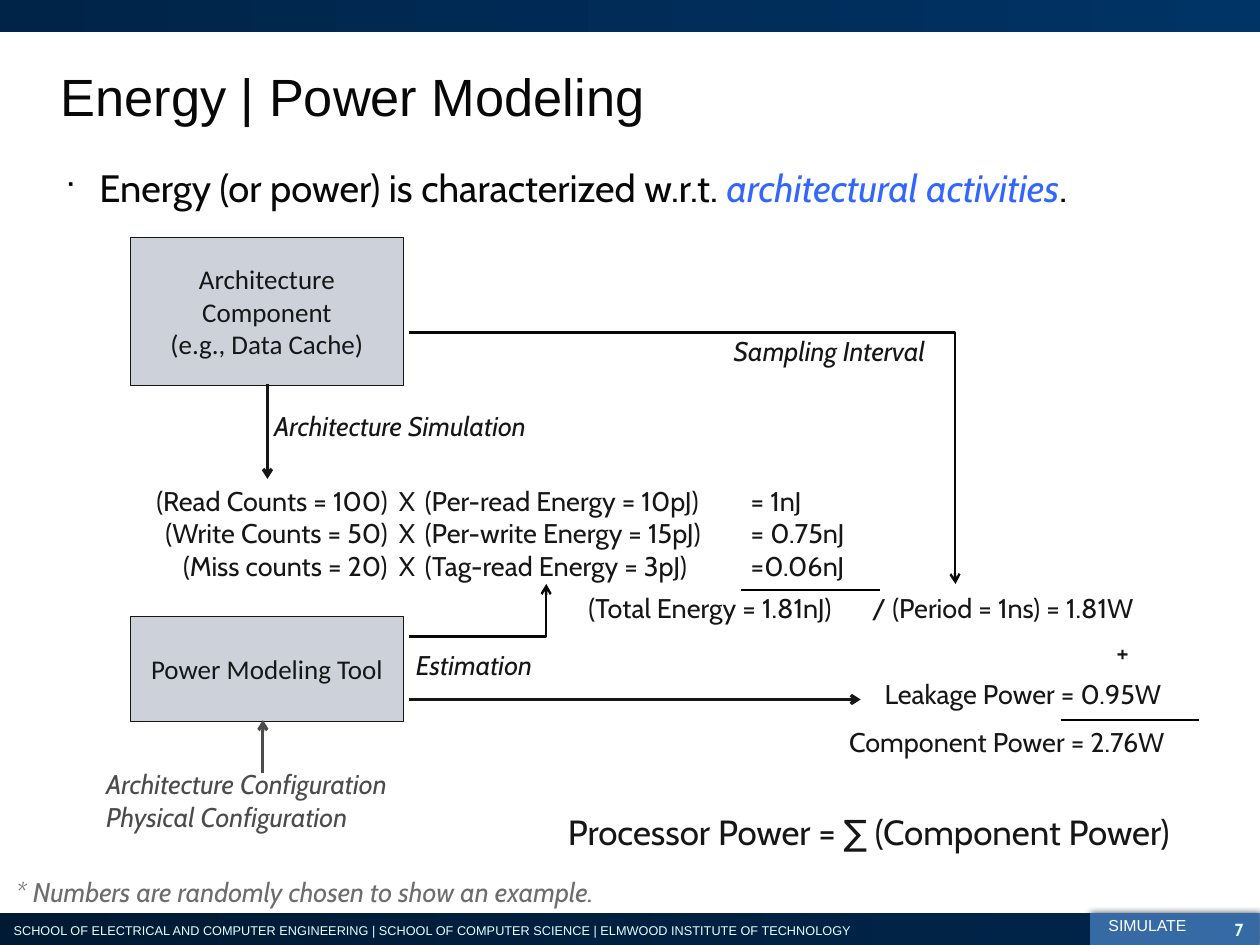
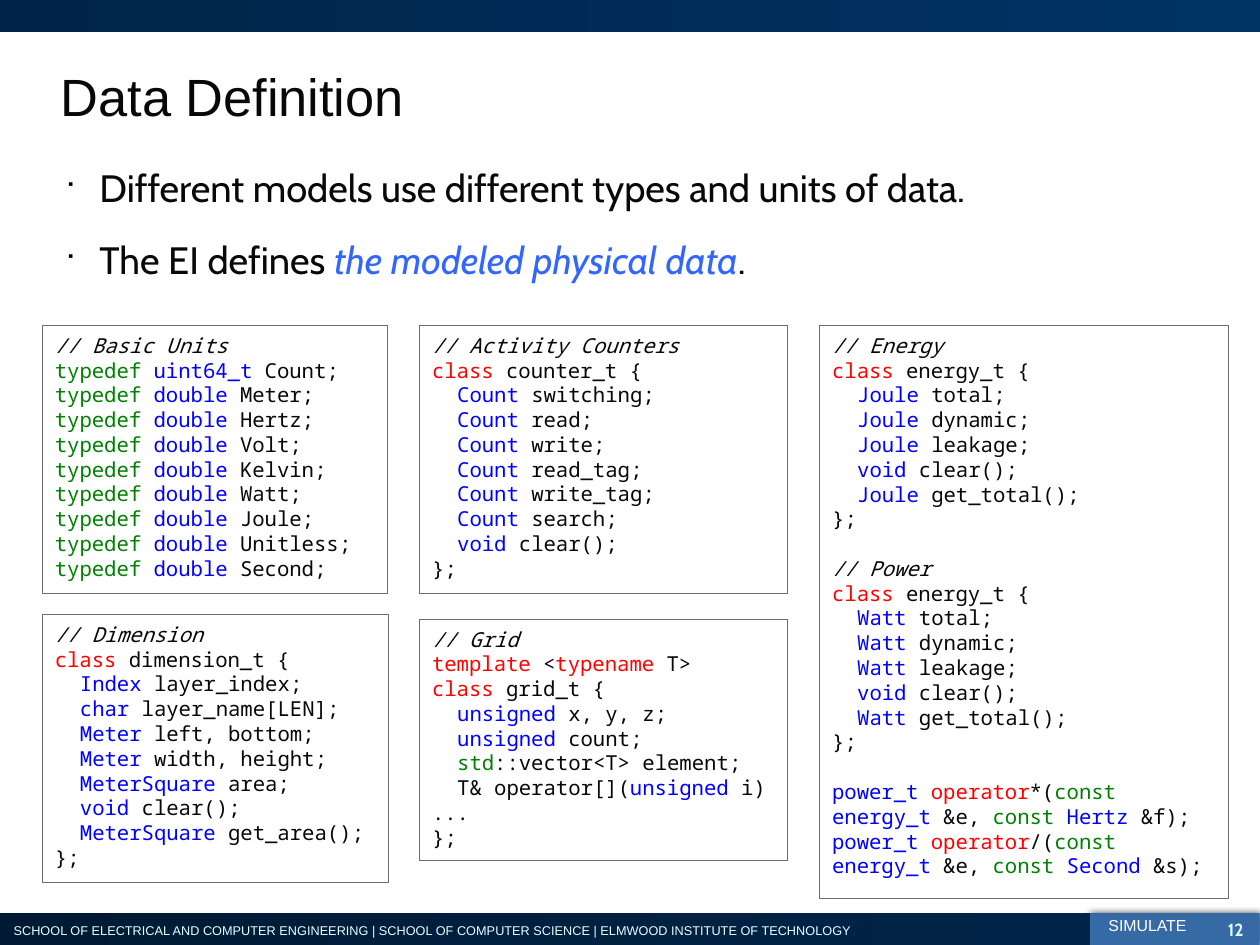
from lxml.etree import SubElement
from pptx import Presentation
from pptx.dml.color import RGBColor
from pptx.enum.shapes import MSO_CONNECTOR as Link, MSO_SHAPE as Preset
from pptx.enum.text import MSO_ANCHOR as Anchor, PP_ALIGN as Align
from pptx.oxml.ns import qn
from pptx.util import Inches, Pt

BLACK = RGBColor(0x00, 0x00, 0x00)
TEXT = RGBColor(0x08, 0x08, 0x08)
INK = RGBColor(0x16, 0x16, 0x16)
DARK_GRAY = RGBColor(0x4C, 0x4C, 0x4C)
GRAY = RGBColor(0x6D, 0x6D, 0x6D)
BOX_GRAY = RGBColor(0xCD, 0xD1, 0xDA)
WHITE = RGBColor(0xFF, 0xFF, 0xFF)
PALE = RGBColor(0xE5, 0xFF, 0xFF)
NAVY_DEEP = RGBColor(0x00, 0x1A, 0x34)
NAVY = RGBColor(0x00, 0x24, 0x48)
NAVY_LIGHT = RGBColor(0x00, 0x33, 0x66)
BADGE_BLUE = RGBColor(0x36, 0x6A, 0xA4)
ACCENT = RGBColor(0x33, 0x66, 0xFF)
RED = RGBColor(0xFF, 0x00, 0x00)
BLUE = RGBColor(0x00, 0x00, 0xFF)
GREEN = RGBColor(0x00, 0x80, 0x00)

WIDTH, HEIGHT = 28 / 2.54, 21 / 2.54  # 28 by 21 cm, in inches
BAND = 0.28
WIDE_INSET = (0.11, 0.06)
CODE_SIZE = 13

# First character of a span: its colour (None keeps the box colour) and slant.
SPAN_MARKS = {
    "#": (RED, False),
    "$": (BLUE, False),
    "%": (GREEN, False),
    "~": (None, True),
    "!": (ACCENT, True),
}


def add_box(page, place, text="", size=17, font="Cabin", colour=INK, fill=None,
            line=None, align=Align.LEFT, anchor=Anchor.TOP, inset=(0.1, 0.05),
            bold=False, spacing=None):
    """Add text, framed if fill or line is given.

    Lines may start with • (bullet), > (code indent) or ^ (gap above);
    backticks split a line into spans, which may start with a span mark.
    """
    place = [Inches(value) for value in place]
    if fill or line:
        box = page.shapes.add_shape(Preset.RECTANGLE, *place)
        box.shadow.inherit = False
        if not fill:
            box.fill.background()
        elif isinstance(fill, list):
            box.fill.gradient()
            box.fill.gradient_angle = 0
            for stop, shade in zip(box.fill.gradient_stops, fill):
                stop.color.rgb = shade
        else:
            box.fill.solid()
            box.fill.fore_color.rgb = fill
        if line:
            box.line.color.rgb = line
            box.line.width = Pt(0.75)
        else:
            box.line.fill.background()
    else:
        box = page.shapes.add_textbox(*place)

    across, down = (Inches(value) for value in inset)
    frame = box.text_frame
    frame_format = dict(word_wrap=True, vertical_anchor=anchor, margin_left=across,
                        margin_right=across, margin_top=down, margin_bottom=down)
    for name, value in frame_format.items():
        setattr(frame, name, value)

    for index, row in enumerate(text.split("\n")):
        para = frame.add_paragraph() if index else frame.paragraphs[0]
        para.alignment = align
        if spacing:
            para.line_spacing = spacing
        mark = row[:1]
        if mark in ("•", ">", "^"):
            row = row[1:]
        properties = para._p.get_or_add_pPr()
        if mark == "•":
            para.space_before = Pt(16.5)
            properties.set("marL", str(Inches(0.3)))
            properties.set("indent", str(-Inches(0.3)))
            bullet_colour = SubElement(properties, qn("a:buClr"))
            SubElement(bullet_colour, qn("a:srgbClr"), val=str(BLACK))
            SubElement(properties, qn("a:buSzPct"), val="65000")
            SubElement(properties, qn("a:buFont"), typeface="Wingdings")
            SubElement(properties, qn("a:buChar"), char="■")
        elif mark == ">":
            properties.set("marL", str(Inches(0.22)))
        elif mark == "^":
            para.space_before = Pt(1.2 * size)
        for piece in filter(None, row.split("`")):
            shade, italic = SPAN_MARKS.get(piece[0], (None, False))
            span = para.add_run()
            span.text = piece[1:] if piece[0] in SPAN_MARKS else piece
            span_format = dict(name=font, size=Pt(size), bold=bold, italic=italic)
            for name, value in span_format.items():
                setattr(span.font, name, value)
            span.font.color.rgb = shade or colour
    return box


def add_line(page, start, end, colour, width, arrow=True, bent=False):
    kind = Link.ELBOW if bent else Link.STRAIGHT
    ends = [Inches(value) for value in (*start, *end)]
    line = page.shapes.add_connector(kind, *ends)
    line.line.color.rgb = colour
    line.line.width = Pt(width)
    properties = line._element.spPr
    if bent:  # one corner, right above or below the end point
        guides = properties.find(qn("a:prstGeom")).get_or_add_avLst()
        SubElement(guides, qn("a:gd"), name="adj1", fmla="val 99900")
    if arrow:
        SubElement(line.line._get_or_add_ln(), qn("a:tailEnd"), type="arrow")
    SubElement(properties, qn("a:effectLst"))


deck = Presentation()
deck.slide_width, deck.slide_height = Inches(WIDTH), Inches(HEIGHT)

SLIDES = [
    ("Energy | Power Modeling", "7",
     "•Energy (or power) is characterized w.r.t. `!architectural activities`."),
    ("Data Definition", "12",
     "•Different models use different types and units of data.\n"
     "•The EI defines `!the modeled physical data`."),
]
pages = []
for title, number, bullets in SLIDES:
    page = deck.slides.add_slide(deck.slide_layouts[6])
    pages.append(page)
    footer_top = HEIGHT - BAND
    badge = add_box(page, (9.53, footer_top, 1.49, BAND), fill=BADGE_BLUE)
    effects = badge._element.spPr.find(qn("a:effectLst"))
    shadow = SubElement(effects, qn("a:outerShdw"), blurRad=str(Pt(5)),
                        dist=str(Pt(1)), dir="0", rotWithShape="0")
    shadow_colour = SubElement(shadow, qn("a:srgbClr"), val=str(BLACK))
    SubElement(shadow_colour, qn("a:alpha"), val="75000")
    add_box(page, (0, footer_top, 9.54, BAND), fill=[NAVY_DEEP, NAVY])
    add_box(page, (0.01, 8.01, 7.8, 0.25),
            "SCHOOL OF ELECTRICAL AND COMPUTER ENGINEERING | SCHOOL OF COMPUTER "
            "SCIENCE | ELMWOOD INSTITUTE OF TECHNOLOGY",
            size=8, font="Arial", colour=PALE, inset=WIDE_INSET)
    add_box(page, (0, 0, WIDTH, BAND), fill=[NAVY, NAVY_LIGHT])
    add_box(page, (9.6, 7.98, 0.93, 0.26), "SIMULATE", size=10, font="Arial",
            colour=WHITE, spacing=0.93)
    add_box(page, (0.42, 0.27, 10.25, 1.14), title, size=33, font="Arial",
            colour=TEXT, anchor=Anchor.MIDDLE, inset=WIDE_INSET)
    add_box(page, (10.41, 7.98, 0.47, 0.26), number, size=11, colour=PALE,
            align=Align.RIGHT, inset=(0, 0.06), bold=True)
    add_box(page, (0.46, 1.38, 10.29, 6.34), bullets, size=24, colour=TEXT,
            inset=WIDE_INSET)

modeling, definition = pages

# Energy and power model
STAGES = [
    (2.08, 1.29, "Architecture\nComponent\n(e.g., Data Cache)"),
    (5.39, 0.92, "Power Modeling Tool"),
]
for top, height, text in STAGES:
    add_box(modeling, (1.14, top, 2.39, height), text, font="Calibri", fill=BOX_GRAY,
            line=INK, align=Align.CENTER, anchor=Anchor.MIDDLE)

COUNT_COLUMNS = [
    (1.07, 2.42, Align.RIGHT,
     "(Read Counts = 100)\n(Write Counts = 50)\n(Miss counts = 20)"),
    (3.31, 0.42, Align.RIGHT, "X\nX\nX"),
    (3.62, 2.94, Align.LEFT,
     "(Per-read Energy = 10pJ)\n(Per-write Energy = 15pJ)\n(Tag-read Energy = 3pJ)"),
    (6.47, 1.53, Align.LEFT, "= 1nJ\n= 0.75nJ\n=0.06nJ"),
]
for left, width, align, text in COUNT_COLUMNS:
    add_box(modeling, (left, 4.19, width, 0.96), text, align=align)

LABELS = [
    (2.3, 3.53, 2.66, "~Architecture Simulation"),
    (6.32, 2.88, 2.09, "~Sampling Interval"),
    (3.54, 5.62, 1.3, "~Estimation"),
    (5.05, 5.13, 2.7, "(Total Energy = 1.81nJ)"),
    (7.53, 5.13, 3.12, "/ (Period = 1ns) = 1.81W"),
    (9.67, 5.51, 0.53, "+"),
    (7.64, 5.88, 3.12, "Leakage Power = 0.95W"),
    (7.33, 6.3, 3.16, "Component Power = 2.76W"),
]
for left, top, width, text in LABELS:
    add_box(modeling, (left, top, width, 0.39), text)
add_box(modeling, (0.83, 6.67, 3.02, 0.67),
        "~Architecture Configuration\n~Physical Configuration", colour=DARK_GRAY)
add_box(modeling, (4.87, 7.04, 5.88, 0.48),
        "Processor Power = ∑ (Component Power)", size=22)
add_box(modeling, (0.03, 7.6, 6.25, 0.4),
        "~* Numbers are randomly chosen to show an example.",
        colour=GRAY, inset=WIDE_INSET)

add_line(modeling, (2.34, 3.36), (2.34, 4.19), INK, 2)
add_line(modeling, (2.3, 6.76), (2.3, 6.3), DARK_GRAY, 2)
add_line(modeling, (3.58, 6.12), (7.53, 6.12), INK, 2)
add_line(modeling, (3.58, 5.57), (4.78, 5.11), TEXT, 1.5, bent=True)
add_line(modeling, (3.58, 2.91), (8.36, 5.11), TEXT, 1.5, bent=True)
for left, right, height in [(6.48, 7.7, 5.16), (9.28, 10.49, 6.3)]:
    add_line(modeling, (left, height), (right, height), BLACK, 1.5, arrow=False)

# Data definition listings
UNITS = ["Meter", "Hertz", "Volt", "Kelvin", "Watt", "Joule", "Unitless", "Second"]
basic_units = ["~// Basic Units", "%typedef `$uint64_t `Count;"]
basic_units += [f"%typedef `$double `{unit};" for unit in UNITS]

COUNTERS = ["switching", "read", "write", "read_tag", "write_tag", "search"]
activity_counters = ["~// Activity Counters", "#class `counter_t {"]
activity_counters += [f">$Count `{counter};" for counter in COUNTERS]
activity_counters += [">$void `clear();", "};"]

energy_power = []
for heading, unit in [("~// Energy", "Joule"), ("^~// Power", "Watt")]:
    energy_power += [heading, "#class `energy_t {"]
    energy_power += [f">${unit} `{part};" for part in ("total", "dynamic", "leakage")]
    energy_power += [">$void `clear();", f">${unit} `get_total();", "};"]
for gap, sign, unit, name in [("^", "*", "Hertz", "f"), ("", "/", "Second", "s")]:
    energy_power.append(f"{gap}$power_t `#operator`{sign}(`%const `$energy_t` &e, "
                        f"`%const `${unit}` &{name});")

FIELDS = [
    ("Index", "layer_index"), ("char", "layer_name[LEN]"), ("Meter", "left, bottom"),
    ("Meter", "width, height"), ("MeterSquare", "area"), ("void", "clear()"),
    ("MeterSquare", "get_area()"),
]
dimension = ["~// Dimension", "#class `dimension_t {"]
dimension += [f">${kind} `{field};" for kind, field in FIELDS]
dimension.append("};")

grid = [
    "~// Grid", "#template `<`#typename `T>", "#class `grid_t {",
    ">$unsigned `x, y, z;", ">$unsigned `count;", ">%std`::vector<T> element;",
    ">T& operator[](`$unsigned `i)", "...", "};",
]

LISTINGS = [
    ((0.37, 2.85, 3.02, 2.34), basic_units),
    ((3.67, 2.85, 3.22, 2.34), activity_counters),
    ((7.17, 2.85, 3.58, 5.01), energy_power),
    ((0.37, 5.38, 3.03, 2.34), dimension),
    ((3.67, 5.42, 3.22, 2.11), grid),
]
for place, rows in LISTINGS:
    add_box(definition, place, "\n".join(rows), size=CODE_SIZE, font="Noto Sans Mono",
            colour=TEXT, line=GRAY, inset=WIDE_INSET)

deck.save("out.pptx")
